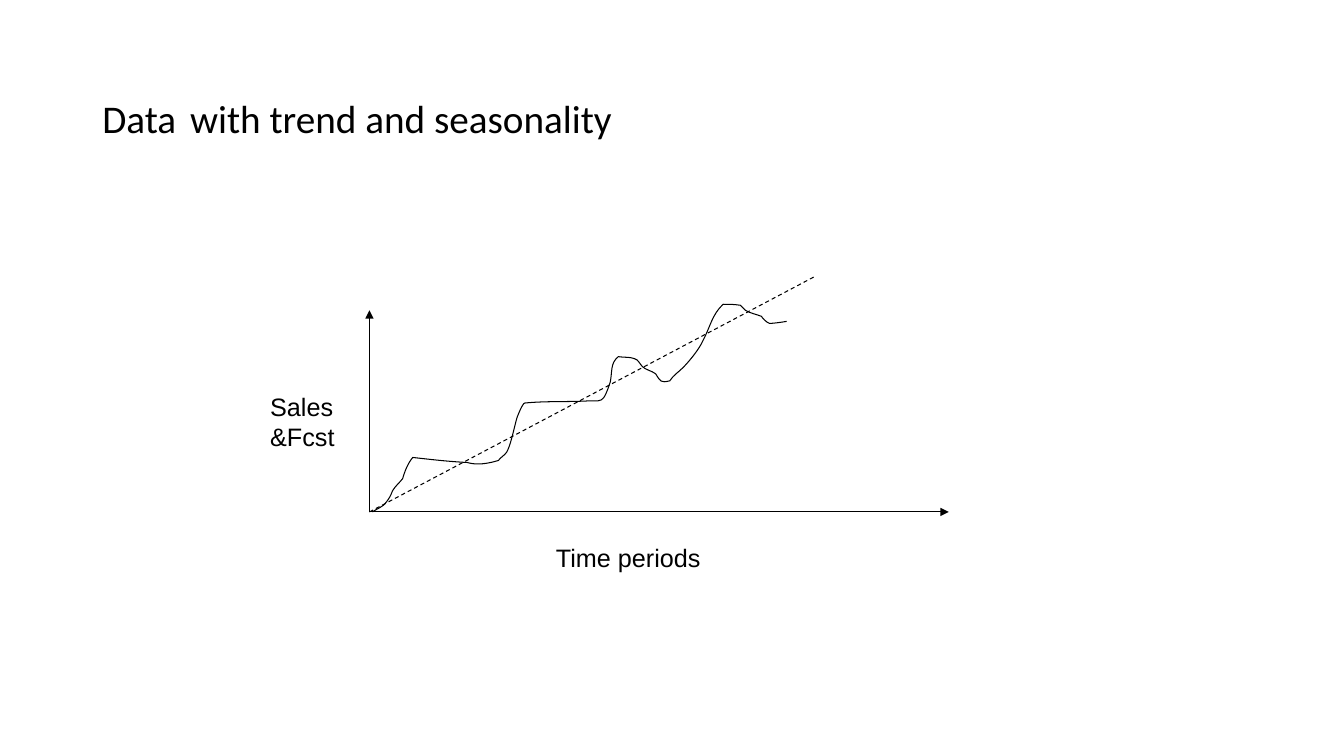
import pptx
import pptx.dml.color
import pptx.enum.dml
import pptx.enum.shapes
import pptx.enum.text
import pptx.oxml.ns
import pptx.util
from lxml import etree

Cm = pptx.util.Cm
Pt = pptx.util.Pt
qn = pptx.oxml.ns.qn

COLORS = {"ink": "000000", "paper": "FFFFFF"}
SALES_UNIT = Cm(0.0254)
# Right and up from the chart's origin, in SALES_UNIT
SALES_START = (3, 0)
# Each row is one Bezier segment: two handles and an end point
SALES_CURVE = [
    [(7, 3), (14, 5), (17, 10)],
    [(20, 14), (21, 16), (23, 21)],
    [(26, 26), (30, 29), (33, 33)],
    [(35, 40), (38, 48), (43, 54)],
    [(61, 52), (78, 50), (97, 49)],
    [(107, 46), (118, 48), (128, 51)],
    [(130, 54), (134, 56), (136, 59)],
    [(140, 65), (144, 85), (146, 92)],
    [(146, 93), (152, 108), (154, 108)],
    [(174, 110), (195, 109), (215, 110)],
    [(227, 111), (228, 108), (233, 114)],
    [(236, 119), (239, 129), (239, 129)],
    [(241, 139), (239, 148), (247, 154)],
    [(253, 153), (258, 154), (263, 152)],
    [(267, 151), (268, 147), (271, 144)],
    [(274, 141), (280, 140), (284, 137)],
    [(289, 129), (289, 128), (298, 130)],
    [(302, 136), (306, 138), (311, 143)],
    [(317, 149), (327, 161), (331, 170)],
    [(338, 183), (340, 196), (351, 206)],
    [(356, 206), (362, 206), (368, 205)],
    [(370, 204), (371, 201), (373, 200)],
    [(378, 197), (384, 196), (389, 194)],
    [(390, 192), (394, 188), (397, 187)],
    [(402, 187), (414, 189), (414, 189)],
]


def color(name):
    return pptx.dml.color.RGBColor.from_string(COLORS[name])


def add_text(slide, box, runs, font, anchor=pptx.enum.text.MSO_ANCHOR.TOP, spacing=1.0):
    """Place one paragraph of (text, size) runs in a box given in cm."""
    frame = slide.shapes.add_textbox(*map(Cm, box)).text_frame
    frame.word_wrap = True
    frame.vertical_anchor = anchor
    para = frame.paragraphs[0]
    para.line_spacing = spacing
    for text, size in runs:
        span = para.add_run()
        span.text = text
        span.font.name = font
        span.font.size = Pt(size)
        span.font.color.rgb = color("ink")


def style_line(line):
    line.color.rgb = color("ink")
    line.width = Pt(0.75)


def add_line(slide, start, end, arrow=False, dashed=False):
    connector = slide.shapes.add_connector(
        pptx.enum.shapes.MSO_CONNECTOR.STRAIGHT, *map(Cm, start + end))
    style_line(connector.line)
    if dashed:
        connector.line.dash_style = pptx.enum.dml.MSO_LINE.DASH
    properties = connector._element.spPr
    if arrow:
        etree.SubElement(properties.find(qn("a:ln")), qn("a:tailEnd"), type="triangle")
    etree.SubElement(properties, qn("a:effectLst"))


def add_sales_curve(slide, origin):
    """Draw the sales curve from the chart's origin, given in cm."""
    builder = slide.shapes.build_freeform(SALES_START[0], -SALES_START[1], SALES_UNIT)
    builder.add_line_segments(
        [(x, -y) for segment in SALES_CURVE for x, y in segment], close=False)
    curve = builder.convert_to_shape(*map(Cm, origin))
    curve.shadow.inherit = False
    curve.fill.background()
    style_line(curve.line)
    # Every three straight segments become one Bezier segment
    steps = list(curve._element.iter(qn("a:lnTo")))
    for first in range(0, len(steps), 3):
        bezier = etree.Element(qn("a:cubicBezTo"))
        steps[first].addprevious(bezier)
        for step in steps[first:first + 3]:
            bezier.append(step[0])
            step.getparent().remove(step)


def add_title(slide, box):
    add_text(slide, box, [("Data", 28), (" ", 44), ("with trend and seasonality", 28)],
             "Calibri", pptx.enum.text.MSO_ANCHOR.MIDDLE, 0.9)


def add_trend_chart(slide, box):
    """Draw axes, sales, trend and axis labels; the axes span the box in cm."""
    left, top, width, height = box
    origin = (left, top + height)
    add_line(slide, origin, (left, top), arrow=True)
    add_line(slide, origin, (left + width, origin[1]), arrow=True)
    add_sales_curve(slide, origin)
    add_line(slide, origin, (left + 11.2, origin[1] - 5.92), dashed=True)
    add_text(slide, (left + 4.45, origin[1] + 0.64, 7.2, 1.02),
             [("Time periods", 18)], "Arial")
    add_text(slide, (left - 2.75, top + 1.91, 2.54, 1.78),
             [("Sales &Fcst", 18)], "Arial")


def main():
    deck = pptx.Presentation()
    deck.slide_width, deck.slide_height = Cm(33.87), Cm(19.05)
    slide = deck.slides.add_slide(deck.slide_layouts[6])
    slide.background.fill.solid()
    slide.background.fill.fore_color.rgb = color("paper")
    add_title(slide, (2.33, 1.01, 29.21, 3.68))
    add_trend_chart(slide, (9.31, 7.82, 14.6, 5.08))
    deck.save("out.pptx")


if __name__ == "__main__":
    main()
